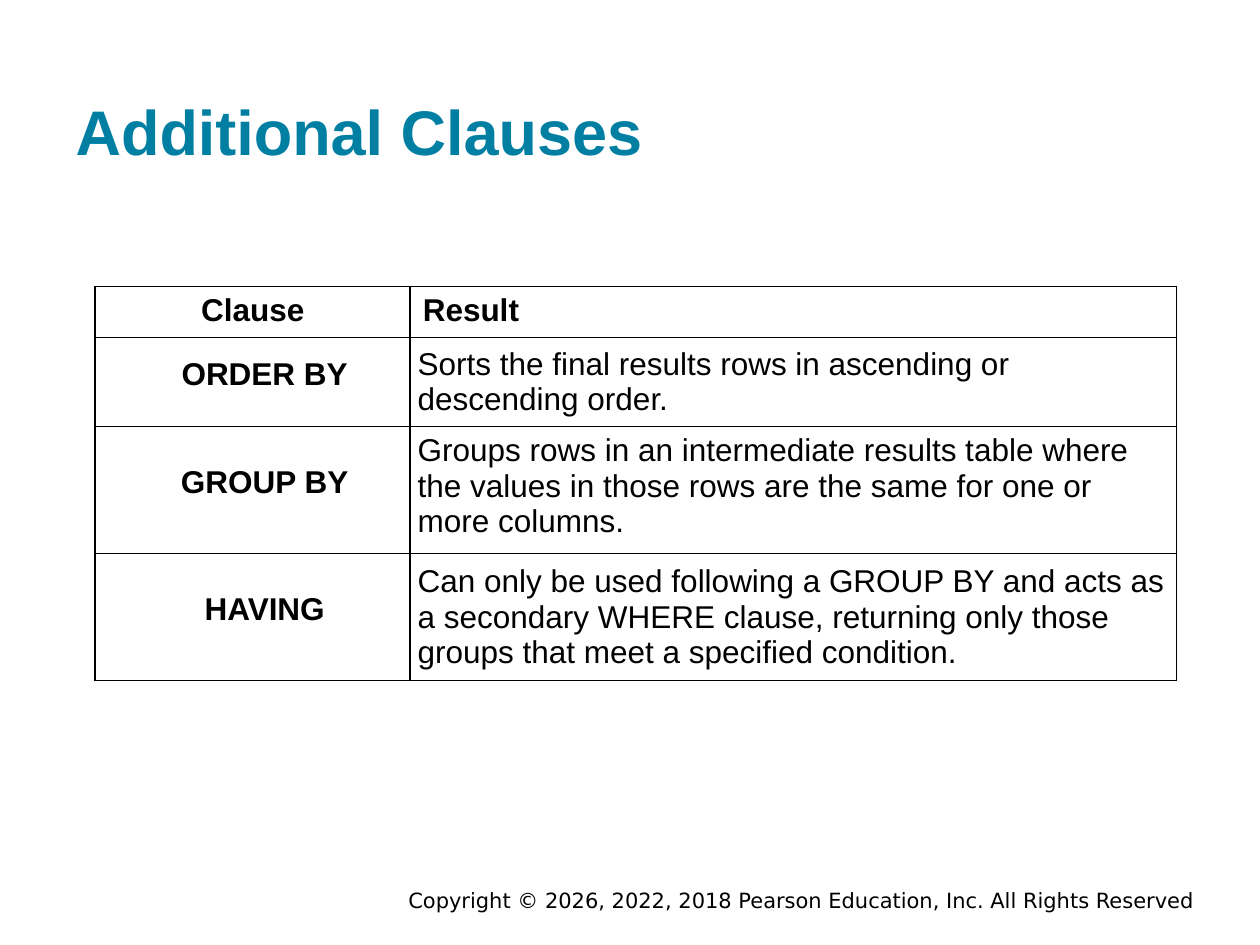
from pptx import Presentation
from pptx.dml.color import RGBColor
from pptx.enum.text import MSO_ANCHOR as Anchor, MSO_AUTO_SIZE as AutoSize, PP_ALIGN as Align
from pptx.oxml import parse_xml
from pptx.oxml.ns import nsdecls
from pptx.util import Pt

COLORS = {"title": "007FA3", "text": "000000", "border": "000000"}

HEADINGS = ("Clause", "Result")
CLAUSES = [
    ("ORDER BY", "Sorts the final results rows in ascending or descending order.",
     Anchor.MIDDLE, 0),
    ("GROUP BY", "Groups rows in an intermediate results table where the values "
                 "in those rows are the same for one or more columns.",
     Anchor.TOP, 4.3),
    ("HAVING", "Can only be used following a GROUP BY and acts as a secondary WHERE clause, "
               "returning only those groups that meet a specified condition.",
     Anchor.MIDDLE, 0),
]
COLUMN_WIDTHS = (180, 437.8)
ROW_HEIGHTS = (29.2, 48.2, 68.2, 68.2)


class SlideWriter:
    def __init__(self, slide):
        self.slide = slide
        self.font = "Arial"

    def format(self, para, size, bold=False, color="text", align=Align.LEFT, font=None):
        para.alignment = align
        for span in para.runs:
            span.font.name = font or self.font
            span.font.size = Pt(size)
            span.font.bold = bold
            span.font.color.rgb = RGBColor.from_string(COLORS[color])

    def title(self, text, left, top, width, height):
        box = self.slide.shapes.title
        box.left, box.top, box.width, box.height = map(Pt, (left, top, width, height))
        frame = box.text_frame
        frame.text = text
        frame.auto_size = AutoSize.NONE
        frame.vertical_anchor = Anchor.BOTTOM
        frame.margin_left = frame.margin_right = Pt(7.2)
        frame.margin_top = frame.margin_bottom = Pt(7.2)
        self.format(frame.paragraphs[0], 36, True, "title")

    def footer(self, text, left, top, width, height):
        box = self.slide.shapes.add_textbox(*map(Pt, (left, top, width, height)))
        frame = box.text_frame
        frame.word_wrap = True
        frame.vertical_anchor = Anchor.MIDDLE
        frame.text = text
        self.format(frame.paragraphs[0], 12, align=Align.RIGHT, font="DejaVu Sans")

    def borders(self, cell):
        properties = cell._tc.get_or_add_tcPr()
        for index, side in enumerate(("lnL", "lnR", "lnT", "lnB")):
            properties.insert(index, parse_xml(
                f'<a:{side} {nsdecls("a")} w="12700"><a:solidFill>'
                f'<a:srgbClr val="{COLORS["border"]}"/></a:solidFill></a:{side}>'))

    def cell(self, cell, text, bold, align):
        cell.text = text
        cell.fill.background()
        self.borders(cell)
        para = cell.text_frame.paragraphs[0]
        self.format(para, 18, bold, align=align)
        return para

    def place(self, cell, anchor, margin_left, margin_right):
        cell.vertical_anchor = anchor
        cell.margin_left, cell.margin_right = Pt(margin_left), Pt(margin_right)
        cell.margin_top = cell.margin_bottom = Pt(3.9)

    def clause_table(self, left, top):
        shape = self.slide.shapes.add_table(
            len(ROW_HEIGHTS), len(COLUMN_WIDTHS), Pt(left), Pt(top),
            Pt(sum(COLUMN_WIDTHS)), Pt(sum(ROW_HEIGHTS)))
        table = shape.table
        table.horz_banding = False
        for column, width in zip(table.columns, COLUMN_WIDTHS):
            column.width = Pt(width)
        for row, height in zip(table.rows, ROW_HEIGHTS):
            row.height = Pt(height)
        for column, heading in enumerate(HEADINGS):
            self.cell(table.cell(0, column), heading, True, Align.LEFT if column else Align.CENTER)
        for row, (clause, result, anchor, margin_right) in enumerate(CLAUSES, 1):
            name_cell, result_cell = table.cell(row, 0), table.cell(row, 1)
            name = self.cell(name_cell, clause, True, Align.CENTER)
            name.line_spacing = Pt(12)
            name.space_after = Pt(3)
            self.cell(result_cell, result, False, Align.LEFT)
            self.place(name_cell, Anchor.MIDDLE, 18, 4.3)
            self.place(result_cell, anchor, 4.3, margin_right)


def main():
    deck = Presentation()
    deck.slide_width, deck.slide_height = Pt(720), Pt(540)
    writer = SlideWriter(deck.slides.add_slide(deck.slide_layouts[5]))
    writer.footer("Copyright © 2026, 2022, 2018 Pearson Education, Inc. All Rights Reserved",
                  126, 506.2, 563.8, 15.8)
    writer.title("Additional Clauses", 36, 16.9, 648, 86.4)
    writer.clause_table(54.4, 163.6)
    deck.save("out.pptx")


if __name__ == "__main__":
    main()
